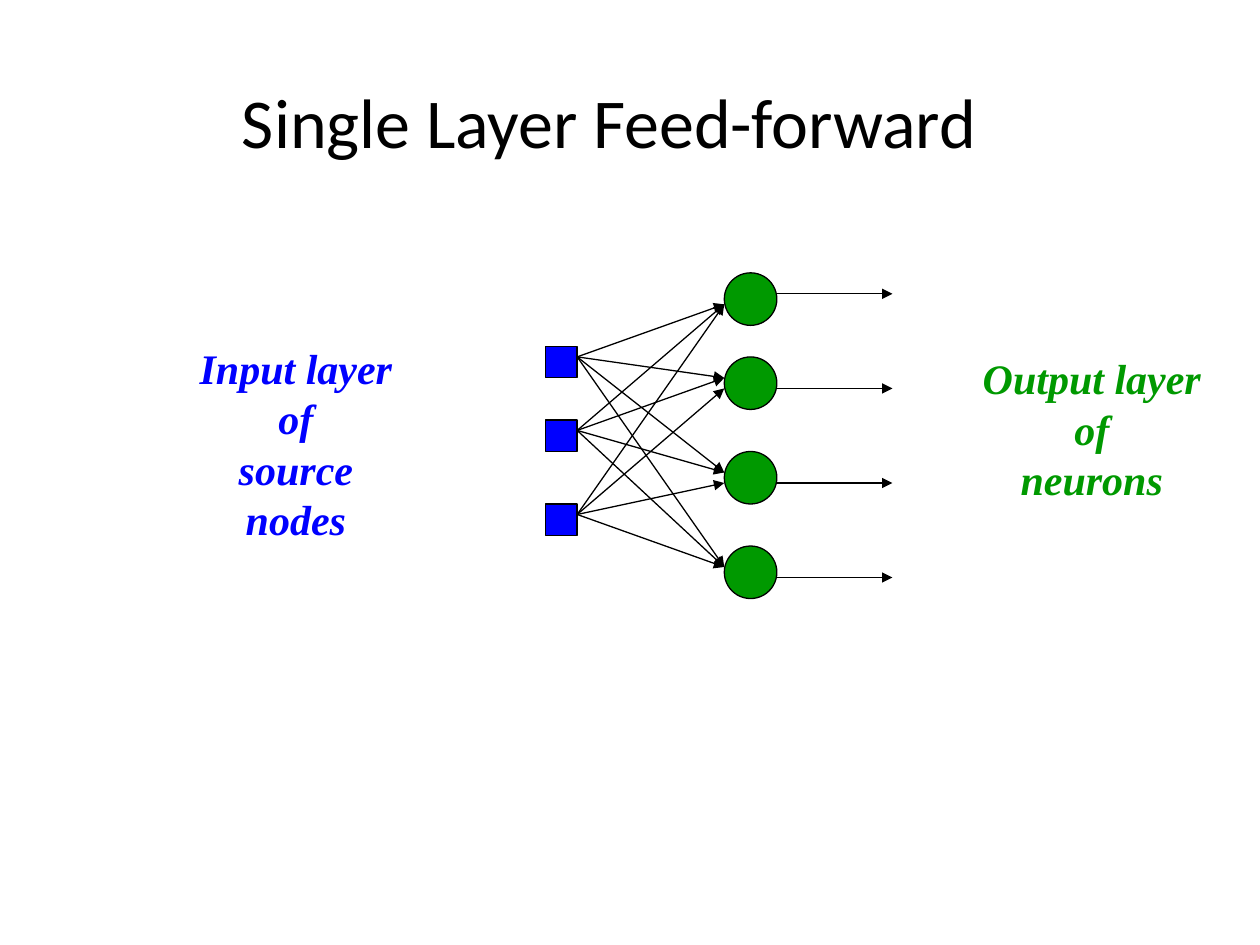
from dataclasses import dataclass

from lxml import etree
from pptx import Presentation
from pptx.dml.color import RGBColor
from pptx.enum.shapes import MSO_CONNECTOR, MSO_SHAPE
from pptx.enum.text import MSO_ANCHOR, PP_ALIGN
from pptx.oxml.ns import qn
from pptx.util import Cm, Pt

SQUARE = MSO_SHAPE.RECTANGLE
CIRCLE = MSO_SHAPE.OVAL
STRAIGHT = MSO_CONNECTOR.STRAIGHT
CENTER = PP_ALIGN.CENTER
MIDDLE = MSO_ANCHOR.MIDDLE


@dataclass(frozen=True)
class Theme:
    ink: RGBColor = RGBColor(0x00, 0x00, 0x00)
    source: RGBColor = RGBColor(0x00, 0x00, 0xFF)
    neuron: RGBColor = RGBColor(0x00, 0x99, 0x00)
    title_font: str = "Calibri"
    label_font: str = "Times New Roman"
    title_size: Pt = Pt(40)
    label_size: Pt = Pt(24)
    stroke: Pt = Pt(0.75)


@dataclass(frozen=True)
class Box:
    left: int
    top: int
    width: int
    height: int


THEME = Theme()
TITLE_BOX = Box(Cm(1.48), Cm(1.06), Cm(21.6), Cm(2.75))
INPUT_BOX = Box(Cm(3.45), Cm(6.78), Cm(5.03), Cm(3.3))
OUTPUT_BOX = Box(Cm(19.56), Cm(6.99), Cm(4.9), Cm(3.3))
NETWORK_BOX = Box(Cm(11), Cm(5.5), Cm(6.99), Cm(6.56))

GRID_COLUMNS = 33
SOURCE_SIDE = 3
NEURON_SIDE = 5
NEURON_COLUMN = 17
SOURCE_ROWS = (7, 14, 22)
NEURON_ROWS = (0, 8, 17, 26)
UPPER_ENTRIES = (3, 10, 19, 28)
LOWEST_ENTRIES = (3, 11, 20, 28)
ENTRIES = (UPPER_ENTRIES, UPPER_ENTRIES, LOWEST_ENTRIES)
EXITS = (2, 11, 20, 29)


def style_paragraph(paragraph, font_name, size, color, emphasis=False):
    paragraph.alignment = CENTER
    paragraph.font.name = font_name
    paragraph.font.size = size
    paragraph.font.color.rgb = color
    paragraph.font.bold = emphasis
    paragraph.font.italic = emphasis


def add_title(slide, box, wording):
    title = slide.shapes.title
    title.left, title.top, title.width, title.height = box.left, box.top, box.width, box.height
    title.text_frame.text = wording
    title.text_frame.vertical_anchor = MIDDLE
    style_paragraph(title.text_frame.paragraphs[0], THEME.title_font, THEME.title_size, THEME.ink)


def add_layer_label(slide, box, lines, color):
    label = slide.shapes.add_textbox(box.left, box.top, box.width, box.height)
    label.text_frame.word_wrap = False
    label.text_frame.text = "\n".join(lines)
    for paragraph in label.text_frame.paragraphs:
        style_paragraph(paragraph, THEME.label_font, THEME.label_size, color, emphasis=True)


def add_network(slide, box):
    network = slide.shapes.add_group_shape().shapes
    unit = box.width / GRID_COLUMNS

    def place(column, row):
        return round(box.left + column * unit), round(box.top + row * unit)

    def add_arrow(start, end):
        arrow = network.add_connector(STRAIGHT, *place(*start), *place(*end))
        arrow.line.color.rgb = THEME.ink
        arrow.line.width = THEME.stroke
        etree.SubElement(arrow.line._get_or_add_ln(), qn("a:tailEnd"), type="triangle")
        etree.SubElement(arrow._element.spPr, qn("a:effectLst"))

    def add_node(kind, column, row, side, color):
        node = network.add_shape(kind, *place(column, row), round(side * unit), round(side * unit))
        node.shadow.inherit = False
        node.fill.solid()
        node.fill.fore_color.rgb = color
        node.line.color.rgb = THEME.ink
        node.line.width = THEME.stroke

    for row in NEURON_ROWS:
        add_node(CIRCLE, NEURON_COLUMN, row, NEURON_SIDE, THEME.neuron)
    for row, entries in zip(SOURCE_ROWS, ENTRIES):
        add_node(SQUARE, 0, row, SOURCE_SIDE, THEME.source)
        for entry in entries:
            add_arrow((SOURCE_SIDE, row + 1), (NEURON_COLUMN, entry))
    for row in EXITS:
        add_arrow((NEURON_COLUMN + NEURON_SIDE, row), (GRID_COLUMNS, row))


def main():
    presentation = Presentation()
    presentation.slide_width = Cm(25.4)
    presentation.slide_height = Cm(19.05)
    slide = presentation.slides.add_slide(presentation.slide_layouts.get_by_name("Title Only"))
    add_title(slide, TITLE_BOX, "Single Layer Feed-forward")
    add_layer_label(slide, INPUT_BOX, ("Input layer", "of", "source nodes"), THEME.source)
    add_layer_label(slide, OUTPUT_BOX, ("Output layer", "of", "neurons"), THEME.neuron)
    add_network(slide, NETWORK_BOX)
    presentation.save("out.pptx")


if __name__ == "__main__":
    main()
